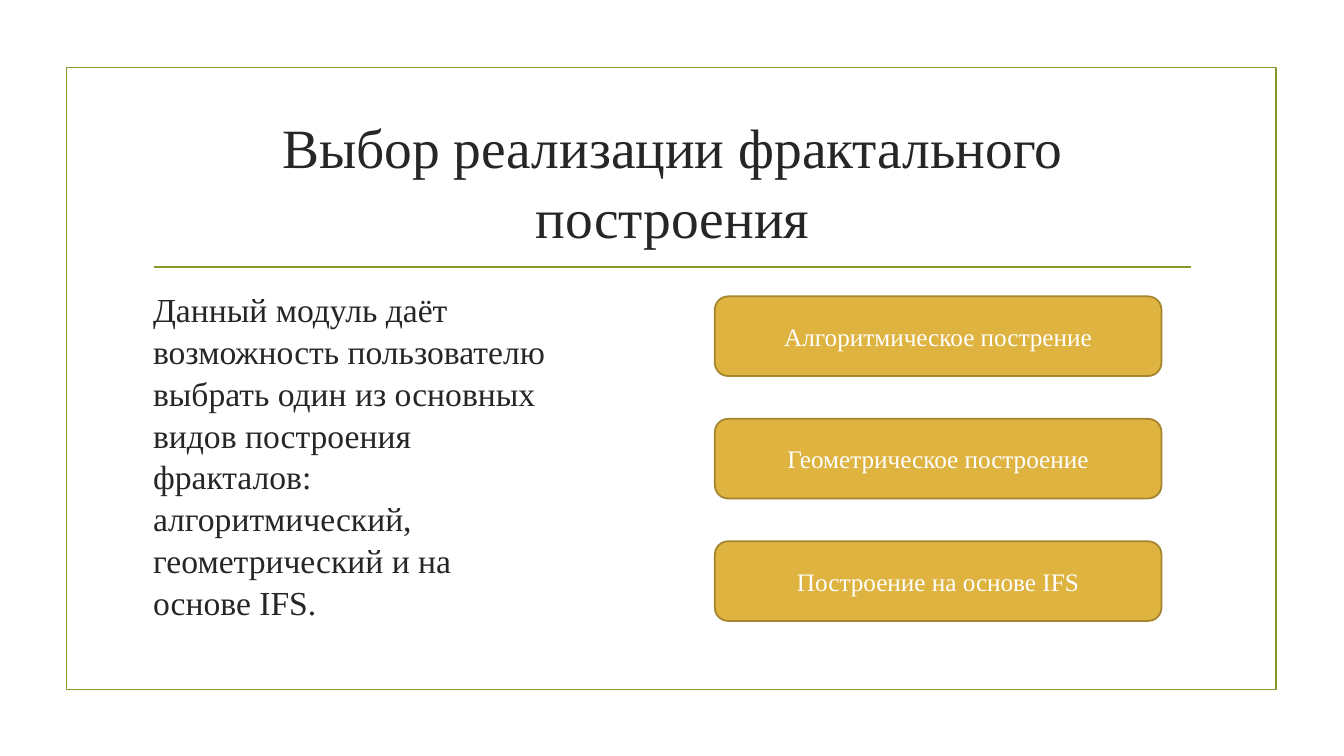
from lxml import etree
from pptx import Presentation
from pptx.dml.color import RGBColor
from pptx.enum.shapes import MSO_CONNECTOR, MSO_SHAPE
from pptx.enum.text import MSO_ANCHOR, PP_ALIGN
from pptx.oxml.ns import qn
from pptx.util import Inches, Pt

RECT, ROUNDED = MSO_SHAPE.RECTANGLE, MSO_SHAPE.ROUNDED_RECTANGLE
STRAIGHT = MSO_CONNECTOR.STRAIGHT
LEFT, CENTER = PP_ALIGN.LEFT, PP_ALIGN.CENTER
TOP, MIDDLE = MSO_ANCHOR.TOP, MSO_ANCHOR.MIDDLE

# Content
TITLE = "Выбор реализации фрактального построения"
BODY = ("Данный модуль даёт возможность пользователю выбрать один из основных "
        "видов построения фракталов: алгоритмический, геометрический и на основе IFS.")
BUTTONS = ["Алгоритмическое пострение", "Геометрическое построение",
           "Построение на основе IFS"]

# Style
FONT = "Times New Roman"
COLORS = {"text": "262626", "green": "83992A", "gold": "DEB340",
          "gold_edge": "A4842F", "white": "FFFFFF"}
LINE_WIDTH = Pt(1.25)

# Layout in inches
SLIDE_W, SLIDE_H = 13.33, 7.5
FRAME = (0.66, 0.67, 12, 6.17)
TITLE_BOX = (1.42, 1.07, 10.5, 1.43)
BODY_BOX = (1.42, 2.8, 4.1, 3.63)
RULE_LEFT, RULE_RIGHT, RULE_Y = 1.53, 11.81, 2.65
BUTTON_LEFT, BUTTON_TOP, BUTTON_W, BUTTON_H = 7.09, 2.94, 4.43, 0.79
BUTTON_PITCH = 1.215


def color(name):
    return RGBColor.from_string(COLORS[name])


def inches(box):
    return [Inches(v) for v in box]


def set_line(sp, name):
    sp.line.color.rgb = color(name)
    sp.line.width = LINE_WIDTH


def set_text(sp, text, size, name, align, anchor, spacing=1.0):
    tf = sp.text_frame
    tf.text = text
    tf.word_wrap = True
    tf.vertical_anchor = anchor
    p = tf.paragraphs[0]
    p.alignment = align
    p.line_spacing = spacing
    p.font.name = FONT
    p.font.size = Pt(size)
    p.font.color.rgb = color(name)


prs = Presentation()
prs.slide_width, prs.slide_height = Inches(SLIDE_W), Inches(SLIDE_H)
slide = prs.slides.add_slide(prs.slide_layouts[5])
shapes = slide.shapes

# Frame and rule
frame = shapes.add_shape(RECT, *inches(FRAME))
frame.shadow.inherit = False
frame.fill.background()
set_line(frame, "green")
rule = shapes.add_connector(
    STRAIGHT, *inches((RULE_LEFT, RULE_Y, RULE_RIGHT, RULE_Y)))
set_line(rule, "green")
etree.SubElement(rule._element.spPr, qn("a:effectLst"))

# Title and description
title = shapes.title
title.left, title.top, title.width, title.height = inches(TITLE_BOX)
set_text(title, TITLE, 39.6, "text", CENTER, MIDDLE, 1.04)
body = shapes.add_textbox(*inches(BODY_BOX))
set_text(body, BODY, 24, "text", LEFT, TOP, 1.04)

# Buttons
for row, label in enumerate(BUTTONS):
    top = BUTTON_TOP + row * BUTTON_PITCH
    sp = shapes.add_shape(
        ROUNDED, *inches((BUTTON_LEFT, top, BUTTON_W, BUTTON_H)))
    sp.shadow.inherit = False
    sp.fill.solid()
    sp.fill.fore_color.rgb = color("gold")
    set_line(sp, "gold_edge")
    set_text(sp, label, 18, "white", CENTER, MIDDLE)

prs.save("out.pptx")
